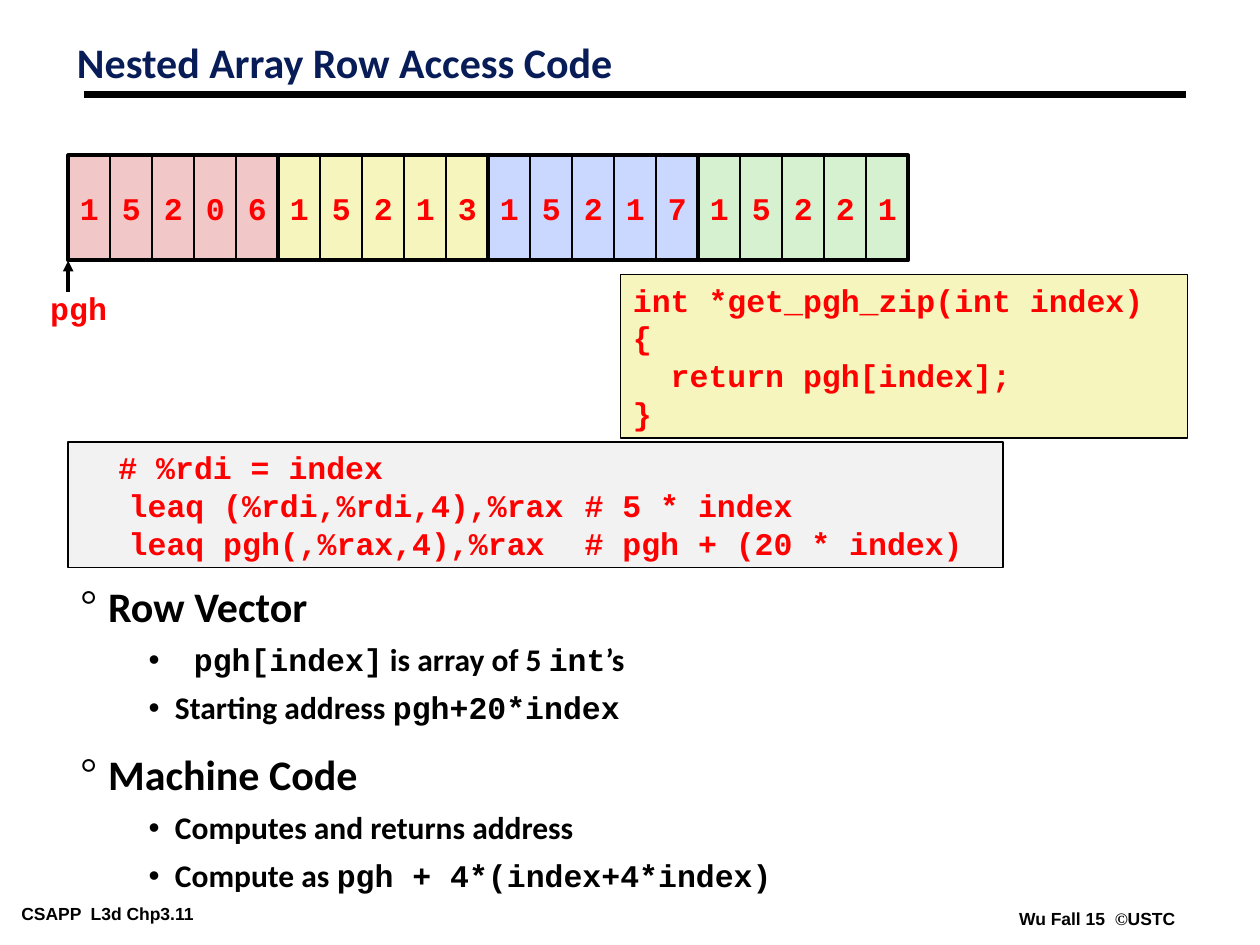
from typing import NamedTuple

from lxml.etree import SubElement
from pptx import Presentation
from pptx.dml.color import RGBColor
from pptx.enum.shapes import MSO_CONNECTOR, MSO_SHAPE
from pptx.enum.text import MSO_ANCHOR, PP_ALIGN
from pptx.oxml.ns import qn
from pptx.util import Pt

BLACK = RGBColor(0x00, 0x00, 0x00)
NAVY = RGBColor(0x08, 0x1D, 0x58)
RED = RGBColor(0xFF, 0x00, 0x00)
ROSE = RGBColor(0xF1, 0xC7, 0xC7)
CREAM = RGBColor(0xF6, 0xF5, 0xBD)
SKY = RGBColor(0xCA, 0xD7, 0xFE)
MINT = RGBColor(0xD5, 0xF1, 0xCF)
PALE_GRAY = RGBColor(0xF2, 0xF2, 0xF2)

SANS, CODE, FOOTER, SERIF = "Calibri", "Courier New", "Arial", "Times New Roman"

ARRAY_LEFT, ARRAY_TOP = 39, 88.8
CELL_WIDTH, CELL_HEIGHT = 24, 60


class Box(NamedTuple):
    left: float
    top: float
    width: float
    height: float


class Piece(NamedTuple):
    text: str
    font: str = SANS


class Level(NamedTuple):
    bullet: str
    bullet_font: str
    indent: float
    hanging: float
    size: float
    line_spacing: float
    space_before: float


class Point(NamedTuple):
    level: Level
    pieces: tuple[Piece, ...]


class ZipCode(NamedTuple):
    digits: str
    color: RGBColor


HEADING = Level("°", SERIF, 15.8, 15.8, 24, 0.75, 19.5)
DETAIL = Level("•", FOOTER, 54, 15.1, 18, 0.85, 9)

ZIP_CODES = (
    ZipCode("15206", ROSE),
    ZipCode("15213", CREAM),
    ZipCode("15217", SKY),
    ZipCode("15221", MINT),
)

POINTS = (
    Point(HEADING, (Piece("Row Vector"),)),
    Point(DETAIL, (Piece(" pgh[index]", CODE), Piece(" is array of 5 "),
                   Piece("int", CODE), Piece("’s"))),
    Point(DETAIL, (Piece("Starting address "), Piece("pgh+20*index", CODE))),
    Point(HEADING, (Piece("Machine Code"),)),
    Point(DETAIL, (Piece("Computes and returns address"),)),
    Point(DETAIL, (Piece("Compute as "), Piece("pgh + 4*(index+4*index)", CODE))),
)

C_SOURCE = "int *get_pgh_zip(int index)\n{\n  return pgh[index];\n}"
ASSEMBLY = (
    "  # %rdi = index\n"
    "\tleaq (%rdi,%rdi,4),%rax\t# 5 * index\n"
    "\tleaq pgh(,%rax,4),%rax\t# pgh + (20 * index)"
)
ASSEMBLY_TABS = (27.5, 288)


def in_points(box: Box) -> list[Pt]:
    return [Pt(length) for length in box]


def style(font, name: str, size: float, color: RGBColor) -> None:
    font.name, font.size, font.bold = name, Pt(size), True
    font.color.rgb = color


def set_insets(frame, side: float, vertical: float) -> None:
    frame.margin_left = frame.margin_right = Pt(side)
    frame.margin_top = frame.margin_bottom = Pt(vertical)


def add_text(slide, box: Box, pieces: tuple[Piece, ...], size: float,
             color: RGBColor, wrap: bool = False):
    frame = slide.shapes.add_textbox(*in_points(box)).text_frame
    frame.word_wrap = wrap
    set_insets(frame, 5, 2.5)
    add_pieces(frame.paragraphs[0], pieces, size, color)
    return frame


def add_pieces(paragraph, pieces: tuple[Piece, ...], size: float, color: RGBColor) -> None:
    for piece in pieces:
        run = paragraph.add_run()
        run.text = piece.text
        style(run.font, piece.font, size, color)


def add_rectangle(slide, box: Box, fill: RGBColor | None, line_width: float):
    rectangle = slide.shapes.add_shape(MSO_SHAPE.RECTANGLE, *in_points(box))
    rectangle.shadow.inherit = False
    if fill is None:
        rectangle.fill.background()
    else:
        rectangle.fill.solid()
        rectangle.fill.fore_color.rgb = fill
    rectangle.line.color.rgb = BLACK
    rectangle.line.width = Pt(line_width)
    return rectangle


def add_line(slide, start: tuple[float, float], end: tuple[float, float],
             width: float, arrow: bool = False) -> None:
    ends = [Pt(length) for length in (*start, *end)]
    connector = slide.shapes.add_connector(MSO_CONNECTOR.STRAIGHT, *ends)
    connector.line.color.rgb = BLACK
    connector.line.width = Pt(width)
    if arrow:
        SubElement(connector.line._get_or_add_ln(), qn("a:tailEnd"), type="triangle")
    SubElement(connector._element.spPr, qn("a:effectLst"))


def add_code(slide, box: Box, source: str, fill: RGBColor,
             tabs: tuple[float, ...] = ()) -> None:
    frame = add_rectangle(slide, box, fill, 1).text_frame
    frame.word_wrap = True
    frame.vertical_anchor = MSO_ANCHOR.TOP
    frame.text = source
    for paragraph in frame.paragraphs:
        paragraph.alignment = PP_ALIGN.LEFT
        if tabs:
            stops = SubElement(paragraph._p.get_or_add_pPr(), qn("a:tabLst"))
            for position in tabs:
                SubElement(stops, qn("a:tab"), pos=str(Pt(position)), algn="l")
        for run in paragraph.runs:
            style(run.font, CODE, 18, RED)


def add_zip_code(slide, left: float, zip_code: ZipCode) -> None:
    """Draw one array row, one cell per digit."""
    for column, digit in enumerate(zip_code.digits):
        box = Box(left + column * CELL_WIDTH, ARRAY_TOP, CELL_WIDTH, CELL_HEIGHT)
        frame = add_rectangle(slide, box, zip_code.color, 1).text_frame
        frame.word_wrap = False
        frame.text = digit
        frame.paragraphs[0].alignment = PP_ALIGN.CENTER
        style(frame.paragraphs[0].runs[0].font, CODE, 18, RED)


def add_points(slide, box: Box) -> None:
    frame = slide.shapes.add_textbox(*in_points(box)).text_frame
    frame.word_wrap = True
    set_insets(frame, 5, 2.5)
    for number, (level, pieces) in enumerate(POINTS):
        paragraph = frame.add_paragraph() if number else frame.paragraphs[0]
        properties = paragraph._p.get_or_add_pPr()
        properties.set("marL", str(Pt(level.indent)))
        properties.set("indent", str(-Pt(level.hanging)))
        color = SubElement(properties, qn("a:buClr"))
        SubElement(color, qn("a:srgbClr"), val=str(BLACK))
        SubElement(properties, qn("a:buFont"), typeface=level.bullet_font)
        SubElement(properties, qn("a:buChar"), char=level.bullet)
        paragraph.line_spacing = level.line_spacing
        if number:
            paragraph.space_before = Pt(level.space_before)
        add_pieces(paragraph, pieces, level.size, BLACK)


def main() -> None:
    deck = Presentation()
    deck.slide_width, deck.slide_height = Pt(720), Pt(540)
    slide = deck.slides.add_slide(deck.slide_layouts[6])

    add_text(slide, Box(7.2, 513.4, 146, 16), (Piece("CSAPP  L3d Chp3.11", FOOTER),), 10, BLACK)
    add_text(slide, Box(577.4, 516.2, 99.4, 16),
             (Piece("Wu Fall 15  ", FOOTER), Piece("©", SERIF), Piece("USTC", FOOTER)), 10, BLACK)
    add_line(slide, (48, 54), (678, 54), 4.5)
    title = add_text(slide, Box(39, 22.3, 602, 45.4),
                     (Piece("Nested Array Row Access Code"),), 24, NAVY, wrap=True)
    title.paragraphs[0].line_spacing = 0.87

    add_points(slide, Box(41, 336.2, 583, 273.6))
    add_code(slide, Box(354.6, 156.8, 324, 93.4), C_SOURCE, CREAM)
    add_code(slide, Box(39, 252.5, 534, 71.8), ASSEMBLY, PALE_GRAY, ASSEMBLY_TABS)

    add_line(slide, (ARRAY_LEFT, 167), (ARRAY_LEFT, 149), 2, arrow=True)
    pointer = add_text(slide, Box(21.6, 161.5, 46.8, 28.8), (Piece("pgh", CODE),), 18, RED)
    set_insets(pointer, 7.2, 3.6)

    lefts = [ARRAY_LEFT + row * 5 * CELL_WIDTH for row in range(len(ZIP_CODES))]
    for left, zip_code in zip(lefts, ZIP_CODES):
        add_zip_code(slide, left, zip_code)
    for left in lefts:
        add_rectangle(slide, Box(left, ARRAY_TOP, 5 * CELL_WIDTH, CELL_HEIGHT), None, 2.25)

    deck.save("out.pptx")


if __name__ == "__main__":
    main()
